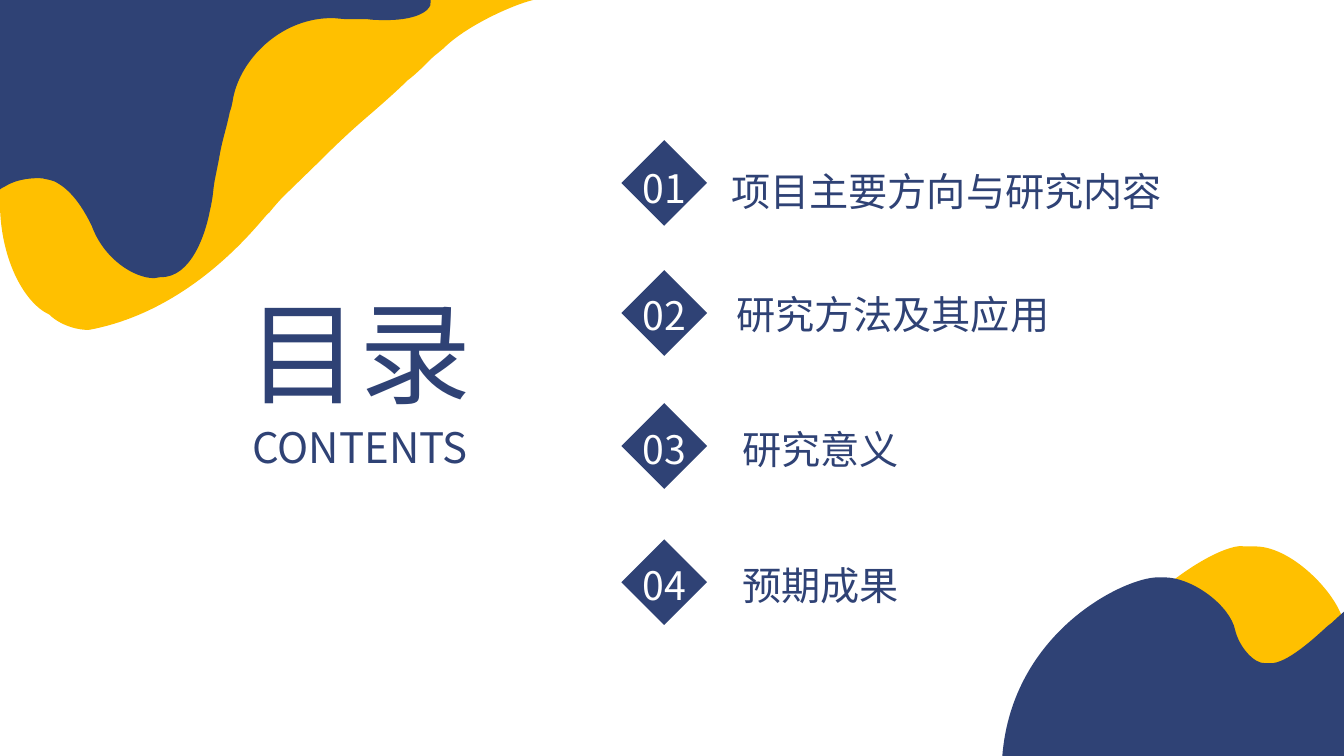
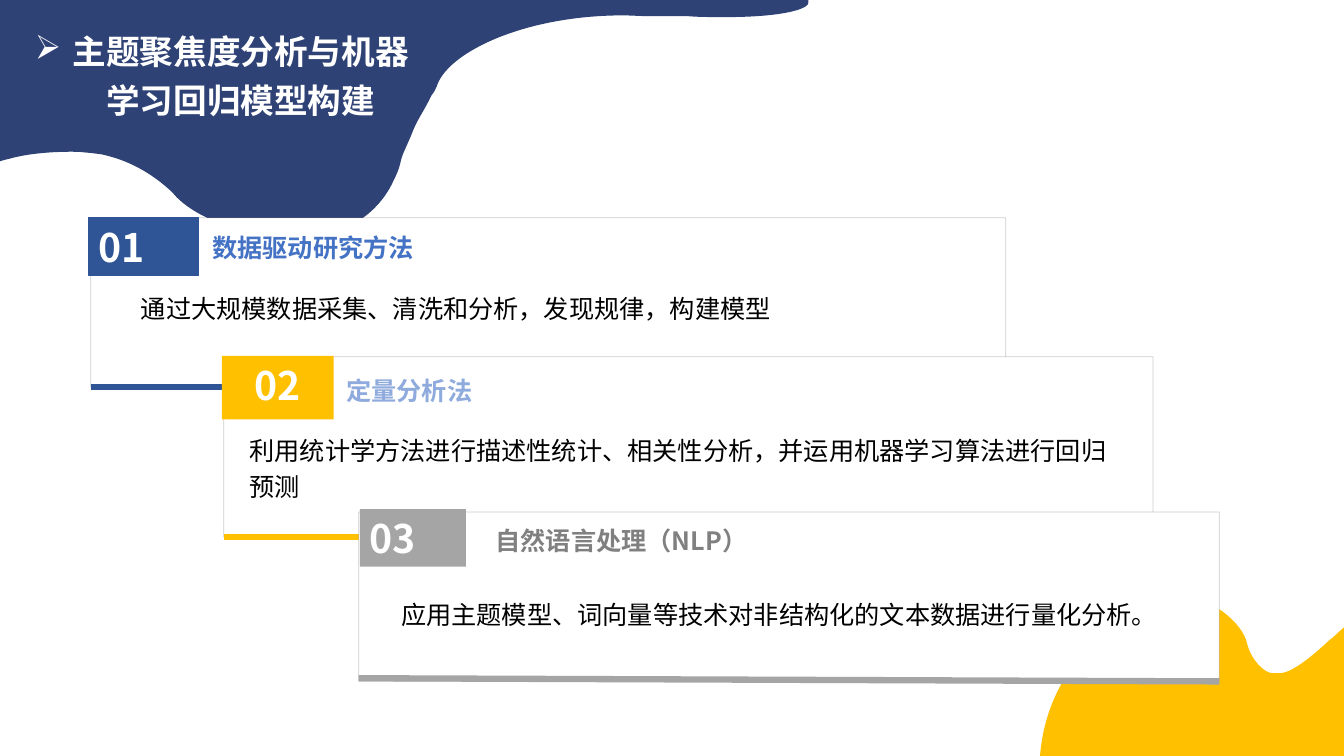
import lxml.etree
import pptx
import pptx.dml.color
import pptx.enum.shapes
import pptx.enum.text
import pptx.oxml.ns
import pptx.util

Cm = pptx.util.Cm
Pt = pptx.util.Pt
qn = pptx.oxml.ns.qn
SHAPE = pptx.enum.shapes.MSO_SHAPE
ALIGN = pptx.enum.text.PP_ALIGN
ANCHOR = pptx.enum.text.MSO_ANCHOR

FONT = "Noto Sans CJK SC"
NAVY, GOLD, WHITE, BLACK = "2F4275", "FFC000", "FFFFFF", "000000"
WIDE, HIGH = 33.87, 19.05
INSET = (0.25, 0.13, 0.25, 0.13)
ROOMY = (0.3,) * 4

DRIP = (427, 276), [
    (0, 188), (1, 187, 5, 185, 5, 185), (21, 175, 42, 177, 42, 177),
    (46, 178, 48, 178, 54, 180), (62, 184, 76, 193, 91, 224),
    (103, 257, 133, 276, 153, 276), (159, 275),
    (190, 276, 204, 231, 208, 210), (212, 193, 211, 190, 213, 179),
    (217, 159), (221, 136, 223, 134, 228, 111),
    (231, 103, 231, 97, 232, 94), (241, 56, 281, 17, 331, 18),
    (342, 19), (364, 19), (369, 20, 378, 20, 383, 20),
    (418, 20, 428, 8, 427, 3), (427, 0), (0, 0)]
FLOW = (529, 327), [
    (10, 0), (13, 7, 22, 30, 21, 57), (22, 75, 16, 109, 9, 135),
    (2, 156, 0, 184, 0, 197), (-1, 254, 23, 300, 49, 312),
    (60, 323, 79, 328, 89, 327), (200, 306, 266, 208, 267, 211),
    (271, 206, 277, 199, 281, 195), (316, 161),
    (342, 135, 356, 123, 370, 111), (378, 104, 393, 91, 404, 80),
    (412, 74, 419, 67, 423, 63), (427, 59, 431, 55, 434, 53),
    (440, 48), (462, 26, 508, 5, 529, 0)]
DOME = (283, 208), [
    (0, 208), (28, 72, 159, -6, 184, 0), (195, 0),
    (233, 0, 280, 51, 283, 78), (283, 208)]
HILL = (339, 177), [
    (0, 177), (10, 53, 122, 0, 154, 0), (159, 0),
    (188, -1, 226, 28, 231, 52), (235, 69, 250, 86, 261, 85), (266, 85),
    (282, 86, 311, 59, 323, 48), (327, 45),
    (331, 41, 338, 35, 339, 34), (339, 177)]

ITEMS = [
    ("01", "项目主要方向与研究内容", 3.53, 2.52, 0.31),
    ("02", "研究方法及其应用", 6.81, 2.64, 0.15),
    ("03", "研究意义", 10.16, 2.8, 0.18),
    ("04", "预期成果", 13.59, 2.8, 0.18)]

CARDS = [
    dict(box=(2.29, 5.49, 23.06, 4.27), tab=(-0.05, 0, 2.77, 1.45),
         head=(2.76, 0, 18.72, 1.47), body=(0.96, 1.44, 21.77, 2.34),
         fill="2F5597", tone="4472C4", num="01", side=ALIGN.LEFT,
         name="数据驱动研究方法", gap=1.0, edge=0.75,
         note="通过大规模数据采集、清洗和分析，发现规律，构建模型"),
    dict(box=(5.64, 8.99, 23.42, 4.54), tab=(-0.05, -0.02, 2.82, 1.6),
         head=(2.79, 0.18, 19.02, 1.19), body=(0.35, 1.53, 22.71, 1.7),
         fill=GOLD, tone="8FAADC", num="02", side=ALIGN.CENTER,
         name="定量分析法", lift=0.15,
         note="利用统计学方法进行描述性统计、相关性分析，并运用机器学习算法进行回归预测"),
    dict(box=(9.04, 12.9, 21.69, 4.27), tab=(0.03, -0.07, 2.67, 1.45),
         head=(3.15, 0.1, 18.08, 1.09), body=(0.82, 2.06, 19.41, 1.02),
         fill="A5A5A5", tone="808080", num="03", side=ALIGN.LEFT,
         name="自然语言处理（NLP）", slant=0.08, lead=1.0, pad=INSET,
         note="应用主题模型、词向量等技术对非结构化的文本数据进行量化分析。")]


def paint(form, tint):
    if hasattr(form, "solid"):
        form.solid()
        form = form.fore_color
    form.rgb = pptx.dml.color.RGBColor.from_string(tint)


def bend(shape, marks):
    lines = shape._element.findall(".//" + qn("a:lnTo"))
    for line, mark in zip(lines, marks[1:]):
        if len(mark) > 2:
            line.tag = qn("a:cubicBezTo")
            for k in (0, 2):
                spot = lxml.etree.Element(qn("a:pt"))
                spot.set("x", str(mark[k] - shape.left))
                spot.set("y", str(mark[k + 1] - shape.top))
                line.insert(k // 2, spot)


def blob(slide, form, box, tint):
    (wide, high), curve = form
    left, top, width, height = box
    marks = [tuple(Cm(top + v * height / high) if k % 2 else Cm(left + v * width / wide)
                   for k, v in enumerate(mark)) for mark in curve]
    pen = slide.shapes.build_freeform(*marks[0], scale=1.0)
    pen.add_line_segments([mark[-2:] for mark in marks[1:]], close=True)
    shape = pen.convert_to_shape()
    bend(shape, marks)
    shape.shadow.inherit = False
    paint(shape.fill, tint)
    shape.line.fill.background()


def block(slide, kind, box, tint):
    shape = slide.shapes.add_shape(kind, *map(Cm, box))
    shape.shadow.inherit = False
    paint(shape.fill, tint)
    shape.line.fill.background()
    return shape


def write(shape, text, size, tint, bold=False, side=ALIGN.LEFT, gap=1.0,
          pad=INSET, anchor=ANCHOR.TOP, mark=None):
    frame = shape.text_frame
    frame.word_wrap = True
    frame.vertical_anchor = anchor
    (frame.margin_left, frame.margin_top,
     frame.margin_right, frame.margin_bottom) = map(Cm, pad)
    frame.text = text
    para = frame.paragraphs[0]
    para.alignment = side
    para.line_spacing = gap
    if mark:
        props = para._p.get_or_add_pPr()
        props.set("marL", str(Cm(0.95)))
        props.set("indent", str(-Cm(0.95)))
        lxml.etree.SubElement(props, qn("a:buChar")).set("char", mark)
    for run in para.runs:
        run.font.size = Pt(size)
        run.font.bold = bold
        run.font.name = FONT
        paint(run.font.fill, tint)
        east = lxml.etree.SubElement(run._r.get_or_add_rPr(), qn("a:ea"))
        east.set("typeface", FONT)


def label(slide, box, *args, **style):
    write(slide.shapes.add_textbox(*map(Cm, box)), *args, **style)


def item(slide, left, top, num, name, shift, drop):
    gem = block(slide, SHAPE.DIAMOND, (left, top, 2.16, 2.16), NAVY)
    write(gem, num, 28, WHITE, side=ALIGN.CENTER, pad=(0, drop - 0.05, 0, 0),
          anchor=ANCHOR.MIDDLE)
    gem.text_frame.word_wrap = False
    label(slide, (left + shift, top + drop, 12.09, 1.65), name, 28, NAVY, gap=1.2)


def card(slide, box, tab, head, body, fill, tone, num, side, name, note,
         gap=1.2, lead=1.2, pad=ROOMY, slant=0, lift=0, edge=0):
    left, top, width, height = box

    def place(part):
        return (left + part[0], top + part[1], *part[2:])

    pane = block(slide, SHAPE.RECTANGLE, box, WHITE)
    pane.line.width = Pt(0.5)
    paint(pane.line.fill, BLACK)
    tint = pane.line._ln.find(".//" + qn("a:srgbClr"))
    lxml.etree.SubElement(tint, qn("a:alpha")).set("val", "20000")
    label(slide, place(head), name, 18, tone, bold=True, gap=gap,
          pad=ROOMY, anchor=ANCHOR.MIDDLE)
    label(slide, place(body), note, 18, BLACK, gap=lead, pad=pad)
    flag = block(slide, SHAPE.RECTANGLE, place(tab), fill)
    if edge:
        flag.line.width = Pt(edge)
        paint(flag.line.fill, fill)
    write(flag, num, 28, WHITE, bold=True, side=side,
          pad=(0.25, 0, 0.25, lift), anchor=ANCHOR.MIDDLE)
    base = top + height
    rule = slide.shapes.add_connector(
        pptx.enum.shapes.MSO_CONNECTOR.STRAIGHT,
        Cm(left), Cm(base - slant), Cm(left + width), Cm(base))
    rule.line.width = Pt(4.5)
    paint(rule.line.fill, fill)
    lxml.etree.SubElement(rule._element.spPr, qn("a:effectLst"))


def contents(slide):
    blob(slide, FLOW, (0, 0, 13.44, 8.31), GOLD)
    blob(slide, DRIP, (0, 0, 10.85, 7.01), NAVY)
    blob(slide, DOME, (26.68, 13.77, 7.19, 5.28), GOLD)
    blob(slide, HILL, (25.26, 14.55, 8.61, 4.5), NAVY)
    label(slide, (5.15, 10.49, 7.85, 1.52), "CONTENTS", 30, NAVY, side=ALIGN.CENTER)
    label(slide, (5.64, 7.01, 6.86, 3.68), "目录", 80, NAVY, side=ALIGN.CENTER)
    for num, name, top, shift, drop in ITEMS:
        item(slide, 15.66, top, num, name, shift, drop)


def methods(slide):
    blob(slide, DRIP, (0, 0, 20.37, 5.97), NAVY)
    blob(slide, HILL, (26.21, 15.04, 7.66, 4.01), GOLD)
    label(slide, (0.33, 0.45, 10.52, 4.09), "主题聚焦度分析与机器学习回归模型构建",
          24, WHITE, bold=True, side=ALIGN.CENTER, gap=1.2, mark="➢")
    for data in CARDS:
        card(slide, **data)


def main():
    deck = pptx.Presentation()
    deck.slide_width, deck.slide_height = Cm(WIDE), Cm(HIGH)
    for build in (contents, methods):
        build(deck.slides.add_slide(deck.slide_layouts[6]))
    deck.save("out.pptx")


if __name__ == "__main__":
    main()
